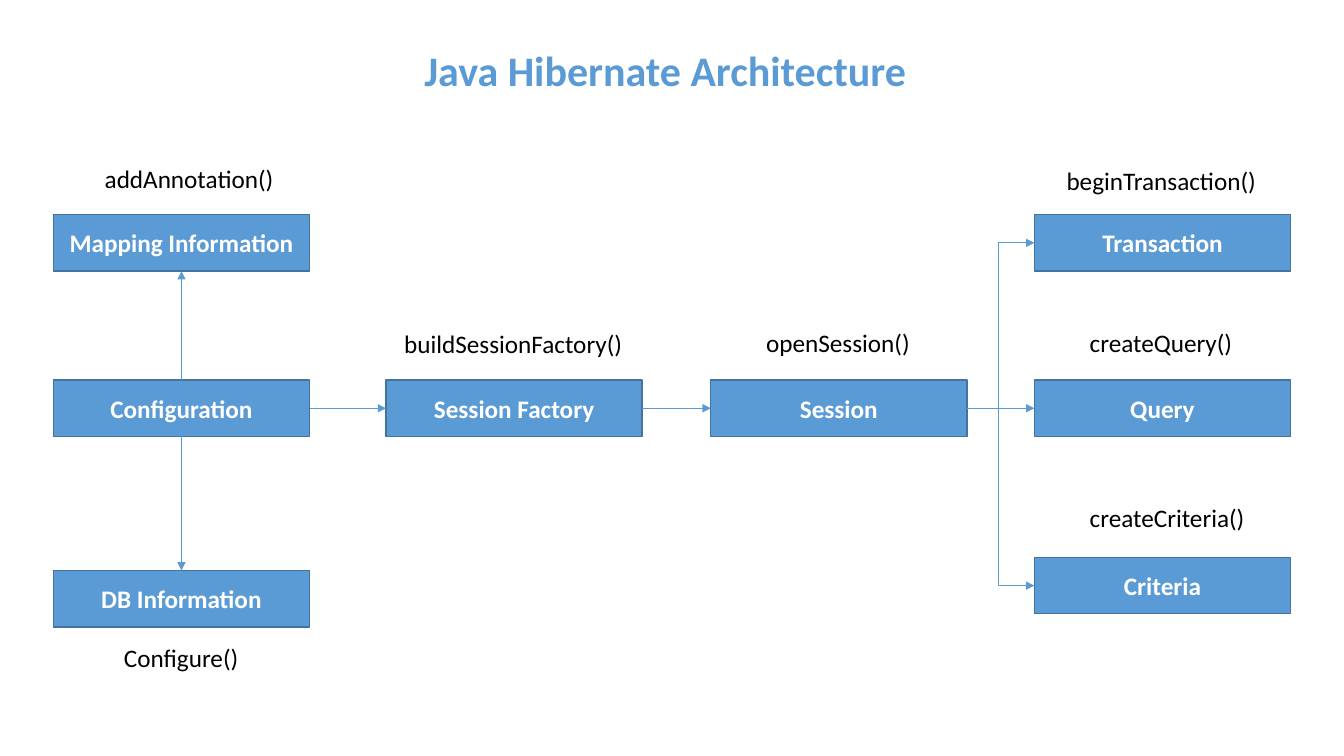
from lxml import etree
from pptx import Presentation
from pptx import util as u
from pptx.dml import color
from pptx.enum import shapes, text
from pptx.oxml import ns

COLOURS = {"blue": "5B9BD5", "border": "43739E", "white": "FFFFFF", "black": "000000"}
BOX_WIDTH, BOX_HEIGHT = 2.54, 0.56
LABEL_HEIGHT = 0.4
COLUMNS = {"configuration": 0.53, "factory": 3.83, "session": 7.05, "results": 10.26}
TOP, MIDDLE = 2.13, 3.77
DATABASE_TOP, CRITERIA_TOP = 5.66, 5.53
BRANCH_X = 9.9


def rgb(name):
    return color.RGBColor.from_string(COLOURS[name])


def write(frame, content, size=18, colour="black", bold=False, align=None, spacing=None):
    paragraph = frame.paragraphs[0]
    paragraph.alignment = align
    paragraph.line_spacing = spacing
    run = paragraph.add_run()
    run.text = content
    run.font.name = "Calibri"
    run.font.size = u.Pt(size)
    run.font.bold = bold
    run.font.color.rgb = rgb(colour)


class Diagram:
    def __init__(self, slide):
        self.slide = slide

    def title(self, content):
        shape = self.slide.shapes.add_textbox(*map(u.Inches, (0.85, 0, 11.5, 1.45)))
        shape.text_frame.word_wrap = True
        shape.text_frame.vertical_anchor = text.MSO_ANCHOR.MIDDLE
        write(shape.text_frame, content, size=30, colour="blue", bold=True,
              align=text.PP_ALIGN.CENTER, spacing=0.9)

    def box(self, content, left, top):
        shape = self.slide.shapes.add_shape(
            shapes.MSO_SHAPE.RECTANGLE, *map(u.Inches, (left, top, BOX_WIDTH, BOX_HEIGHT)))
        shape.shadow.inherit = False
        shape.fill.solid()
        shape.fill.fore_color.rgb = rgb("blue")
        shape.line.color.rgb = rgb("border")
        shape.line.width = u.Pt(1)
        shape.text_frame.word_wrap = True
        shape.text_frame.vertical_anchor = text.MSO_ANCHOR.MIDDLE
        write(shape.text_frame, content, colour="white", bold=True, align=text.PP_ALIGN.CENTER)

    def label(self, content, left, top, width, wrap=False):
        shape = self.slide.shapes.add_textbox(*map(u.Inches, (left, top, width, LABEL_HEIGHT)))
        shape.text_frame.word_wrap = wrap
        shape.text_frame.auto_size = text.MSO_AUTO_SIZE.SHAPE_TO_FIT_TEXT
        write(shape.text_frame, content)

    def arrow(self, start_x, start_y, end_x, end_y, kind=shapes.MSO_CONNECTOR.STRAIGHT):
        connector = self.slide.shapes.add_connector(
            kind, *map(u.Inches, (start_x, start_y, end_x, end_y)))
        connector.line.color.rgb = rgb("blue")
        connector.line.width = u.Pt(0.5)
        properties = connector._element.spPr
        line = properties.find(ns.qn("a:ln"))
        etree.SubElement(line, ns.qn("a:tailEnd"), type="triangle")
        etree.SubElement(properties, ns.qn("a:effectLst"))
        return connector

    def branch(self, start_x, start_y, end_x, end_y):
        center_x, center_y = (start_x + end_x) / 2, (start_y + end_y) / 2
        half_width, half_height = abs(end_y - start_y) / 2, (end_x - start_x) / 2
        upward = end_y < start_y
        rise = half_height if upward else -half_height
        connector = self.arrow(center_x + half_width, center_y + rise,
                               center_x - half_width, center_y - rise,
                               shapes.MSO_CONNECTOR.ELBOW)
        connector._element.spPr.find(ns.qn("a:prstGeom")).set("prst", "bentConnector2")
        connector._element.spPr.find(ns.qn("a:xfrm")).set("rot", str((90 if upward else 270) * 60000))


def main():
    presentation = Presentation()
    presentation.slide_width = u.Inches(13.33)
    presentation.slide_height = u.Inches(7.5)
    diagram = Diagram(presentation.slides.add_slide(presentation.slide_layouts[6]))

    diagram.title("Java Hibernate Architecture")

    for content, column, top in (
        ("Mapping Information", "configuration", TOP),
        ("Configuration", "configuration", MIDDLE),
        ("DB Information", "configuration", DATABASE_TOP),
        ("Session Factory", "factory", MIDDLE),
        ("Session", "session", MIDDLE),
        ("Criteria", "results", CRITERIA_TOP),
        ("Query", "results", MIDDLE),
        ("Transaction", "results", TOP),
    ):
        diagram.box(content, COLUMNS[column], top)

    configuration_x = COLUMNS["configuration"] + BOX_WIDTH / 2
    diagram.arrow(configuration_x, MIDDLE, configuration_x, TOP + BOX_HEIGHT)
    diagram.arrow(configuration_x, MIDDLE + BOX_HEIGHT, configuration_x, DATABASE_TOP)

    middle_y = MIDDLE + BOX_HEIGHT / 2
    lefts = list(COLUMNS.values())
    for left, next_left in zip(lefts, lefts[1:]):
        diagram.arrow(left + BOX_WIDTH, middle_y, next_left, middle_y)
    for top in (TOP, CRITERIA_TOP):
        diagram.branch(BRANCH_X, middle_y, COLUMNS["results"], top + BOX_HEIGHT / 2)

    diagram.label("beginTransaction()", 10.48, 1.59, 2.1)
    diagram.label("createQuery()", 10.71, 3.2, 1.64, wrap=True)
    diagram.label("createCriteria()", 10.71, 4.93, 1.87, wrap=True)
    diagram.label("openSession()", 7.5, 3.2, 1.64)
    diagram.label("buildSessionFactory()", 3.91, 3.21, 2.39)
    diagram.label("addAnnotation()", 0.94, 1.57, 1.9)
    diagram.label("Configure()", 1.13, 6.32, 1.35)

    presentation.save("out.pptx")


if __name__ == "__main__":
    main()
